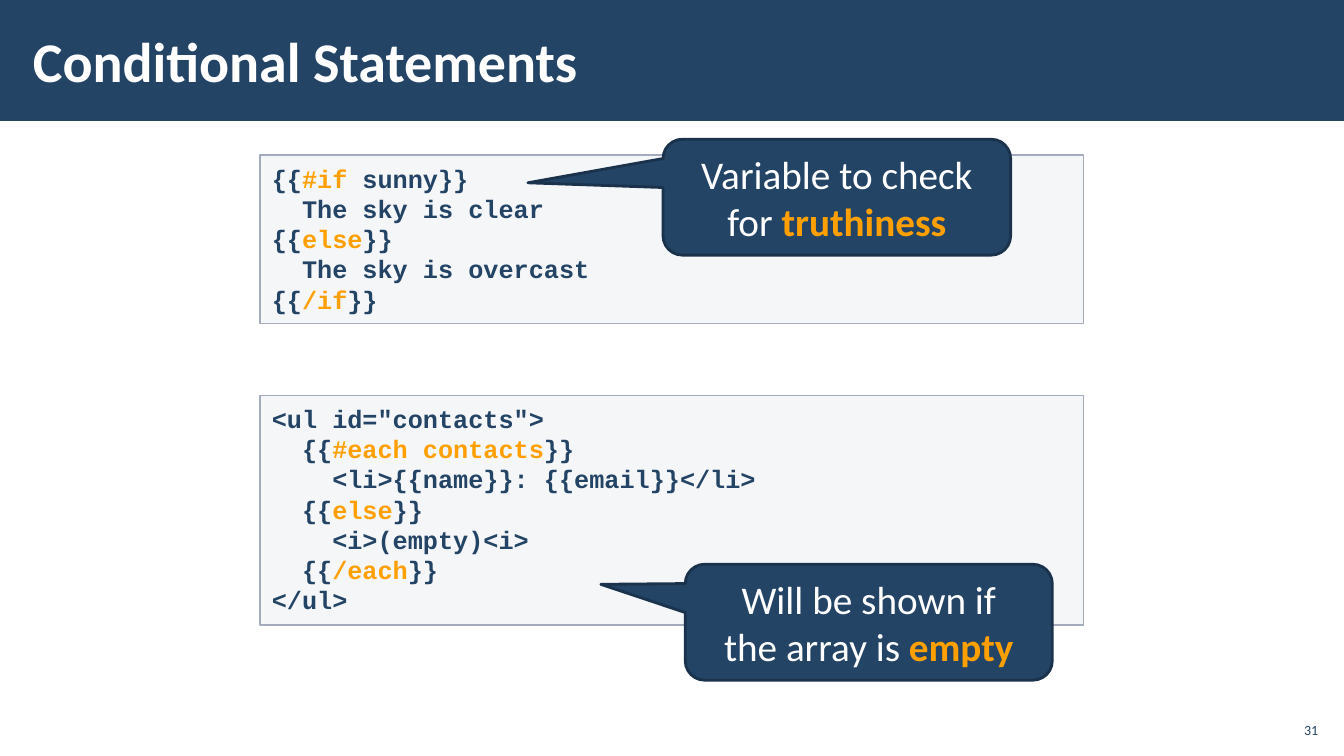
"""Build the slide on conditional statements in templates."""
from dataclasses import dataclass

from lxml import etree
from pptx import Presentation
from pptx.dml.color import RGBColor
from pptx.enum.shapes import MSO_SHAPE
from pptx.enum.text import MSO_ANCHOR, MSO_AUTO_SIZE, PP_ALIGN
from pptx.oxml.ns import qn
from pptx.util import Cm, Pt

RECT, BUBBLE = MSO_SHAPE.RECTANGLE, MSO_SHAPE.ROUNDED_RECTANGULAR_CALLOUT
TOP, MIDDLE = MSO_ANCHOR.TOP, MSO_ANCHOR.MIDDLE
LEFT, CENTER, RIGHT = PP_ALIGN.LEFT, PP_ALIGN.CENTER, PP_ALIGN.RIGHT
GROW = MSO_AUTO_SIZE.SHAPE_TO_FIT_TEXT

SLIDE_WIDTH, SLIDE_HEIGHT = 33.87, 19.05
TITLE = "Conditional Statements"
PAGE = "31"
EXAMPLES = [
    {
        "code_top": 3.91, "code_height": 4.24,
        "code": [
            ("{{", "#if ", "sunny}}"),
            ("  The sky is clear",),
            ("{{", "else", "}}"),
            ("  The sky is overcast",),
            ("{{", "/if", "}}"),
        ],
        "remark_box": (16.71, 3.51, 8.76, 2.92),
        "pointer": (-0.889, -0.124, 0.167),
        "remark": [("Variable to check",), ("for ", "truthiness")],
    },
    {
        "code_top": 9.96, "code_height": 5.79,
        "code": [
            ('<ul id="contacts">',),
            ("  {{", "#each contacts", "}}"),
            ("    <li>{{name}}: {{email}}</li>",),
            ("  {{", "else", "}}"),
            ("    <i>(empty)<i>",),
            ("  {{", "/each", "}}"),
            ("</ul>",),
        ],
        "remark_box": (17.27, 14.22, 9.25, 2.92),
        "pointer": (-0.73, -0.327, 0.167),
        "remark": [("Will be shown if",), ("the array is ", "empty")],
    },
]
CODE_LEFT, CODE_WIDTH = 6.55, 20.75


@dataclass(frozen=True)
class Theme:
    """Colours, fonts and type sizes."""
    navy: str = "234465"
    navy_edge: str = "1A324B"
    orange: str = "FFA000"
    white: str = "FFFFFF"
    panel: str = "C2C7D2"
    panel_edge: str = "A3ABBC"
    panel_opacity: int = 15
    body_font: str = "Calibri"
    code_font: str = "Courier New"
    title_size: int = 40
    remark_size: int = 28
    code_size: int = 18
    page_size: int = 10


THEME = Theme()


def rgb(color):
    """Turn a hex string into a colour."""
    return RGBColor.from_string(color)


def add_panel(slide, kind, box, fill, edge=None, edge_width=1, opacity=None):
    """Add a filled preset shape."""
    panel = slide.shapes.add_shape(kind, *map(Cm, box))
    panel.shadow.inherit = False
    panel.fill.solid()
    panel.fill.fore_color.rgb = rgb(fill)
    if opacity is not None:
        tint = panel.fill._xPr.find(".//" + qn("a:srgbClr"))
        etree.SubElement(tint, qn("a:alpha"), val=str(opacity * 1000))
    if edge:
        panel.line.color.rgb = rgb(edge)
        panel.line.width = Pt(edge_width)
    else:
        panel.line.fill.background()
    return panel


def write(holder, lines, font, size, color, bold=False, align=LEFT,
          anchor=MIDDLE, insets=(0.3, 0.1), wrap=True, fit=None):
    """Write lines whose every second run is highlighted."""
    frame = holder.text_frame
    frame.word_wrap = wrap
    frame.vertical_anchor = anchor
    frame.margin_left = frame.margin_right = Cm(insets[0])
    frame.margin_top = frame.margin_bottom = Cm(insets[1])
    if fit is not None:
        frame.auto_size = fit
    for row, parts in enumerate(lines):
        paragraph = frame.add_paragraph() if row else frame.paragraphs[0]
        paragraph.alignment = align
        for position, part in enumerate(parts):
            highlighted = position % 2 == 1
            run = paragraph.add_run()
            run.text = part
            run.font.name = font
            run.font.size = Pt(size)
            run.font.bold = bold or highlighted
            run.font.color.rgb = rgb(THEME.orange if highlighted else color)


def add_example(slide, example):
    """Add a code panel and the remark pointing into it."""
    code_box = (CODE_LEFT, example["code_top"], CODE_WIDTH, example["code_height"])
    code = add_panel(slide, RECT, code_box, THEME.panel, THEME.panel_edge,
                     opacity=THEME.panel_opacity)
    write(code, example["code"], THEME.code_font, THEME.code_size, THEME.navy,
          bold=True, anchor=TOP, insets=(0.3, 0.2), fit=GROW)
    remark = add_panel(slide, BUBBLE, example["remark_box"], THEME.navy,
                       THEME.navy_edge, edge_width=2)
    for index, offset in enumerate(example["pointer"]):
        remark.adjustments[index] = offset
    write(remark, example["remark"], THEME.body_font, THEME.remark_size,
          THEME.white, align=CENTER, insets=(0.79, 0.13), wrap=False, fit=GROW)


def main():
    """Compose and save the slide."""
    deck = Presentation()
    deck.slide_width, deck.slide_height = Cm(SLIDE_WIDTH), Cm(SLIDE_HEIGHT)
    slide = deck.slides.add_slide(deck.slide_layouts[6])
    add_panel(slide, RECT, (0, 0, SLIDE_WIDTH, 3.05), THEME.navy)
    title = slide.shapes.add_textbox(*map(Cm, (0.53, 0.28, 26.42, 2.46)))
    write(title, [(TITLE,)], THEME.body_font, THEME.title_size, THEME.white, bold=True)
    for example in EXAMPLES:
        add_example(slide, example)
    page = slide.shapes.add_textbox(*map(Cm, (32.13, 18.14, 1.19, 0.53)))
    write(page, [(PAGE,)], THEME.body_font, THEME.page_size, THEME.navy,
          align=RIGHT, insets=(0.1, 0.1))
    deck.save("out.pptx")


if __name__ == "__main__":
    main()
